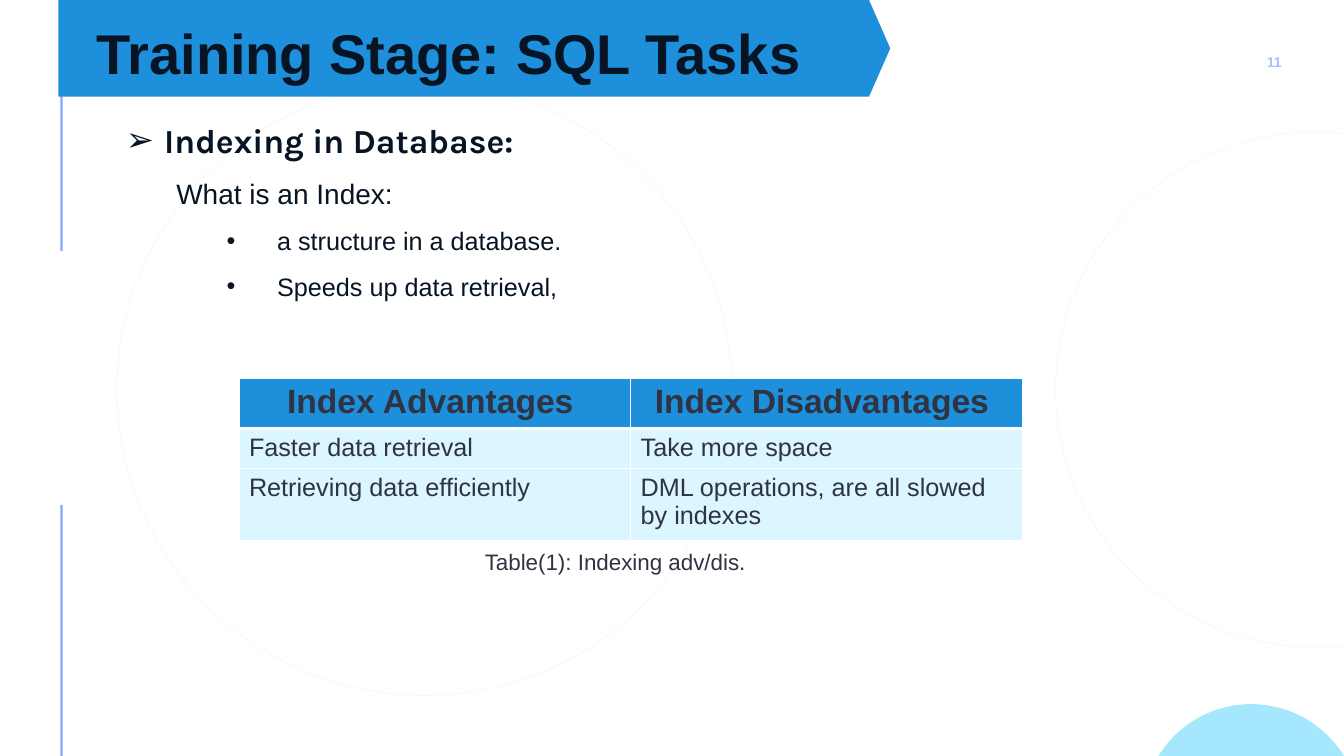
from dataclasses import dataclass
from math import asin, cos, sin

from lxml import etree
from pptx import Presentation
from pptx.dml.color import RGBColor
from pptx.enum.dml import MSO_LINE
from pptx.enum.shapes import MSO_CONNECTOR, MSO_SHAPE
from pptx.enum.text import MSO_ANCHOR, PP_ALIGN
from pptx.oxml.ns import qn
from pptx.util import Emu, Pt

PX = 9144  # 100 px to the inch
WIDE, HIGH = 1333, 750
LEFT, MID, RIGHT = PP_ALIGN.LEFT, PP_ALIGN.CENTER, PP_ALIGN.RIGHT
TOP, MIDDLE = MSO_ANCHOR.TOP, MSO_ANCHOR.MIDDLE
OVAL, RECT, PLATE = MSO_SHAPE.OVAL, MSO_SHAPE.RECTANGLE, MSO_SHAPE.PENTAGON
DOTS, STRAIGHT = MSO_LINE.ROUND_DOT, MSO_CONNECTOR.STRAIGHT


@dataclass(frozen=True)
class Theme:
    white: str = "FFFFFF"
    blue: str = "1D8FDB"
    line: str = "537EFF"
    sky: str = "4DD3FE"
    pale: str = "DBF6FF"
    ink: str = "071423"
    slate: str = "2F3342"
    sans: str = "Arial"
    karla: str = "Karla"
    title: int = 40
    head: int = 24
    sub: int = 20
    body: int = 18
    note: int = 16
    page: int = 10


T = Theme()


@dataclass(frozen=True)
class Box:
    x: int
    y: int
    w: int
    h: int

    def emu(self) -> list[Emu]:
        return [px(n) for n in (self.x, self.y, self.w, self.h)]


@dataclass(frozen=True)
class Para:
    text: str
    size: int
    color: str = T.ink
    bold: bool = False
    font: str = T.sans
    align: PP_ALIGN = LEFT
    level: int = 0
    inset: int = 0
    hang: int = 0
    space: float = 1.0
    mark: str = ""


def px(n: int) -> Emu:
    return Emu(n * PX)


def rgb(code: str) -> RGBColor:
    return RGBColor.from_string(code)


def fade(node, pct: int) -> None:
    tint = node.find(".//" + qn("a:srgbClr"))
    etree.SubElement(tint, qn("a:alpha")).set("val", str(pct * 1000))


def write(frame, paras: list[Para]) -> None:
    for i, item in enumerate(paras):
        para = frame.add_paragraph() if i else frame.paragraphs[0]
        para.alignment, para.level = item.align, item.level
        para.line_spacing = item.space
        props = para._p.get_or_add_pPr()
        props.set("marL", str(px(item.inset)))
        props.set("indent", str(px(-item.hang)))
        if item.mark:
            etree.SubElement(props, qn("a:buFont")).set("typeface", T.sans)
            etree.SubElement(props, qn("a:buChar")).set("char", item.mark)
        run = para.add_run()
        run.text = item.text
        font = run.font
        font.name, font.size, font.bold = item.font, Pt(item.size), item.bold
        font.color.rgb = rgb(item.color)


def add_text(slide, box: Box, paras: list[Para], pad: bool = True, anchor=TOP):
    area = slide.shapes.add_textbox(*box.emu())
    frame = area.text_frame
    frame.word_wrap, frame.vertical_anchor = True, anchor
    if not pad:
        frame.margin_left = frame.margin_right = 0
        frame.margin_top = frame.margin_bottom = 0
    write(frame, paras)
    return area


def add_block(slide, kind: MSO_SHAPE, box: Box):
    block = slide.shapes.add_shape(kind, *box.emu())
    block.shadow.inherit = False
    block.fill.solid()
    block.fill.fore_color.rgb = rgb(T.blue)
    block.line.fill.background()
    return block


def add_rule(slide, x: int, top: int, end: int) -> None:
    rule = slide.shapes.add_connector(STRAIGHT, px(x), px(top), px(x), px(end))
    rule.line.color.rgb, rule.line.width = rgb(T.line), Pt(1.5)
    props = rule._element.spPr
    fade(props, 70)
    etree.SubElement(props, qn("a:effectLst"))


def add_ring(slide, box: Box) -> None:
    ring = slide.shapes.add_shape(OVAL, *box.emu())
    ring.shadow.inherit = False
    ring.fill.background()
    ring.line.color.rgb, ring.line.width = rgb(T.line), Pt(0.5)
    ring.line.dash_style = DOTS
    fade(ring._element.spPr, 10)


def add_dome(slide, mid: int, half: int, rad: int, steps: int = 48) -> None:
    """Draw a circle's cap standing on the bottom edge."""
    turn = asin(half / rad)
    base = HIGH + rad * cos(turn)
    angles = [turn * (2 * i / steps - 1) for i in range(steps + 1)]
    dots = [((mid + rad * sin(a)) * PX, (base - rad * cos(a)) * PX) for a in angles]
    path = slide.shapes.build_freeform(*dots[0])
    path.add_line_segments(dots[1:], close=True)
    dome = path.convert_to_shape()
    dome.shadow.inherit = False
    dome.fill.solid()
    dome.fill.fore_color.rgb = rgb(T.sky)
    dome.line.fill.background()
    fade(dome._element.spPr, 50)


def edge(cell, sides: dict[str, float]) -> None:
    props = cell._tc.get_or_add_tcPr()
    for i, (side, width) in enumerate(sides.items()):
        line = etree.Element(qn("a:ln" + side), w=str(Pt(width)))
        fill = etree.SubElement(line, qn("a:solidFill"))
        etree.SubElement(fill, qn("a:srgbClr")).set("val", T.white)
        props.insert(i, line)


def add_grid(slide, box: Box, rows: list[tuple[str, str]], highs: list[int]) -> None:
    grid = slide.shapes.add_table(len(rows), len(rows[0]), *box.emu()).table
    grid.horz_banding = False
    thin, thick = 0.75, 2.04
    for r, (row, high) in enumerate(zip(rows, highs)):
        grid.rows[r].height = px(high)
        head = r == 0
        for c, text in enumerate(row):
            cell = grid.cell(r, c)
            cell.fill.solid()
            cell.fill.fore_color.rgb = rgb(T.blue if head else T.pale)
            if head:
                cell.margin_right = px(19)
            edge(cell, {"L": thin, "R": thin, "T": thick if r == 1 else thin,
                        "B": thick if head else thin})
            write(cell.text_frame, [Para(text, T.head if head else T.body, T.slate,
                                         head, align=MID if head else LEFT)])


def main() -> None:
    deck = Presentation()
    deck.slide_width, deck.slide_height = px(WIDE), px(HIGH)
    slide = deck.slides.add_slide(deck.slide_layouts[6])

    # Backdrop
    page = Para("11", T.page, T.line, True, align=RIGHT)
    area = add_text(slide, Box(1194, 48, 77, 27), [page], False, MIDDLE)
    fade(area._element.txBody, 50)
    for top, end in ((0, 249), (501, HIGH)):
        add_rule(slide, 61, top, end)
    for box in (Box(1047, 131, 514, 511), Box(116, 83, 610, 607)):
        add_ring(slide, box)
    add_dome(slide, 1241, 92, 108)

    # Title banner
    plate = add_block(slide, PLATE, Box(58, 0, 825, 96))
    plate.adjustments[0] = 0.22
    label = add_block(slide, RECT, Box(86, 13, 732, 77)).text_frame
    label.word_wrap, label.vertical_anchor = True, TOP
    write(label, [Para("Training Stage: SQL Tasks", T.title, bold=True)])

    # Body
    points = ["a structure in a database.", "Speeds up data retrieval,"]
    add_text(slide, Box(115, 94, 1132, 220), [
        Para("Indexing in Database:", T.head, bold=True, font=T.karla, level=1,
             inset=38, hang=38, space=1.5, mark="➢"),
        Para("What is an Index:", T.sub, level=1, inset=50, space=1.5),
        *(Para(text, T.body, level=2, inset=150, hang=50, space=1.5, mark="•")
          for text in points),
    ])

    # Table and caption
    add_grid(slide, Box(237, 375, 777, 160), [
        ("Index Advantages", "Index Disadvantages"),
        ("Faster data retrieval", "Take more space"),
        ("Retrieving data efficiently", "DML operations, are all slowed by indexes"),
    ], [49, 40, 71])
    add_text(slide, Box(471, 539, 387, 37),
             [Para("Table(1): Indexing adv/dis.", T.note, T.slate)])

    deck.save("out.pptx")


if __name__ == "__main__":
    main()
